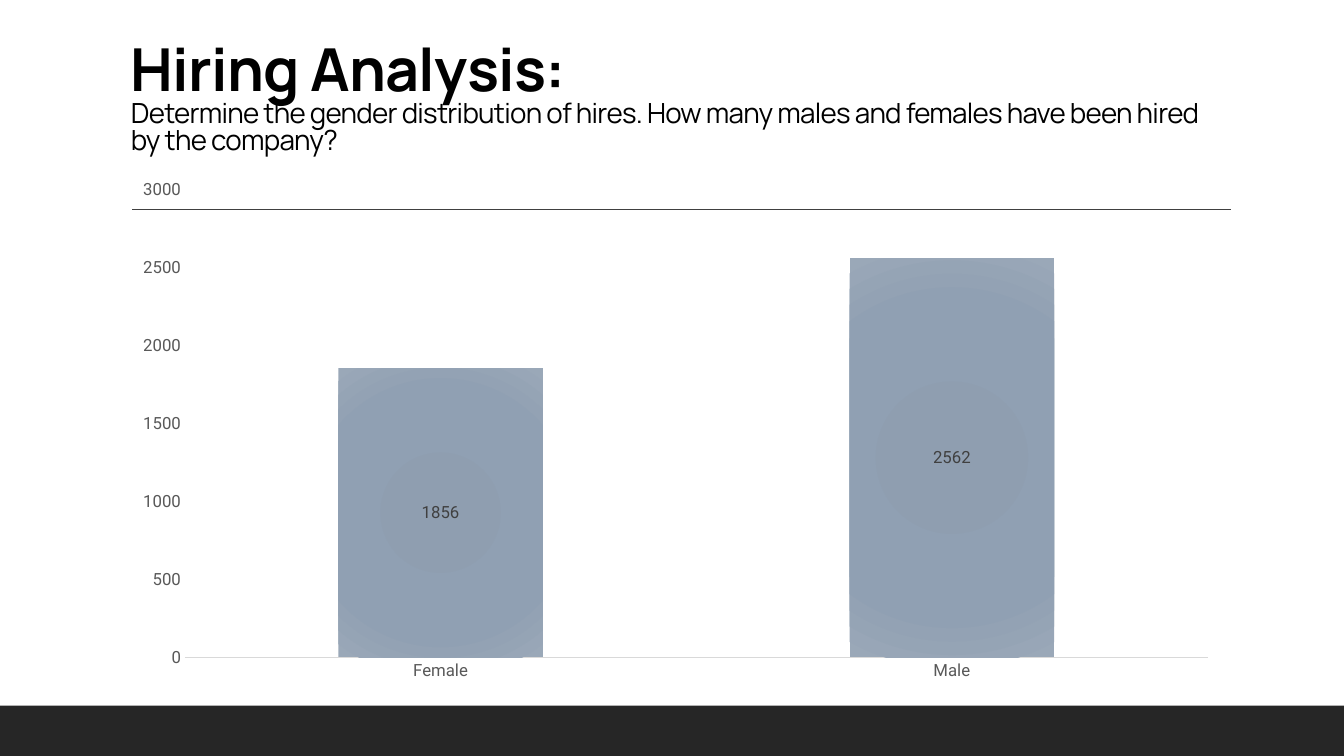
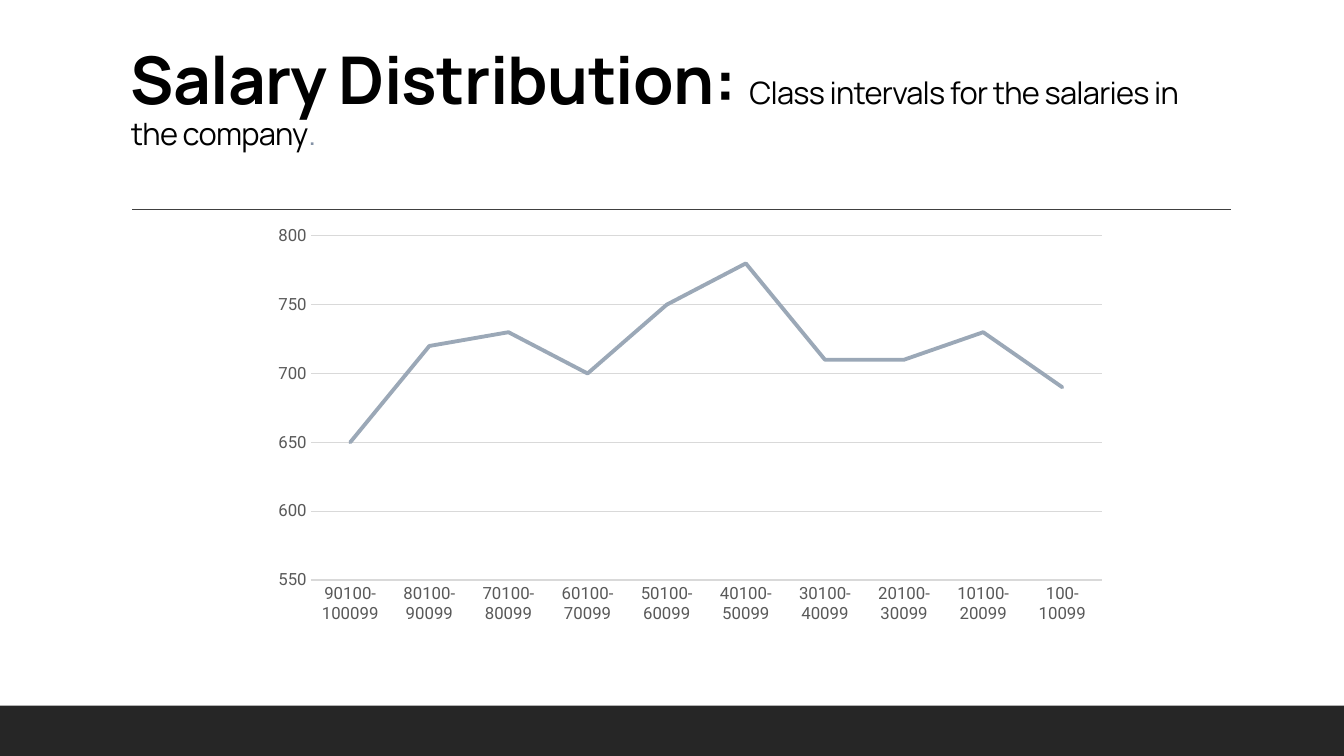
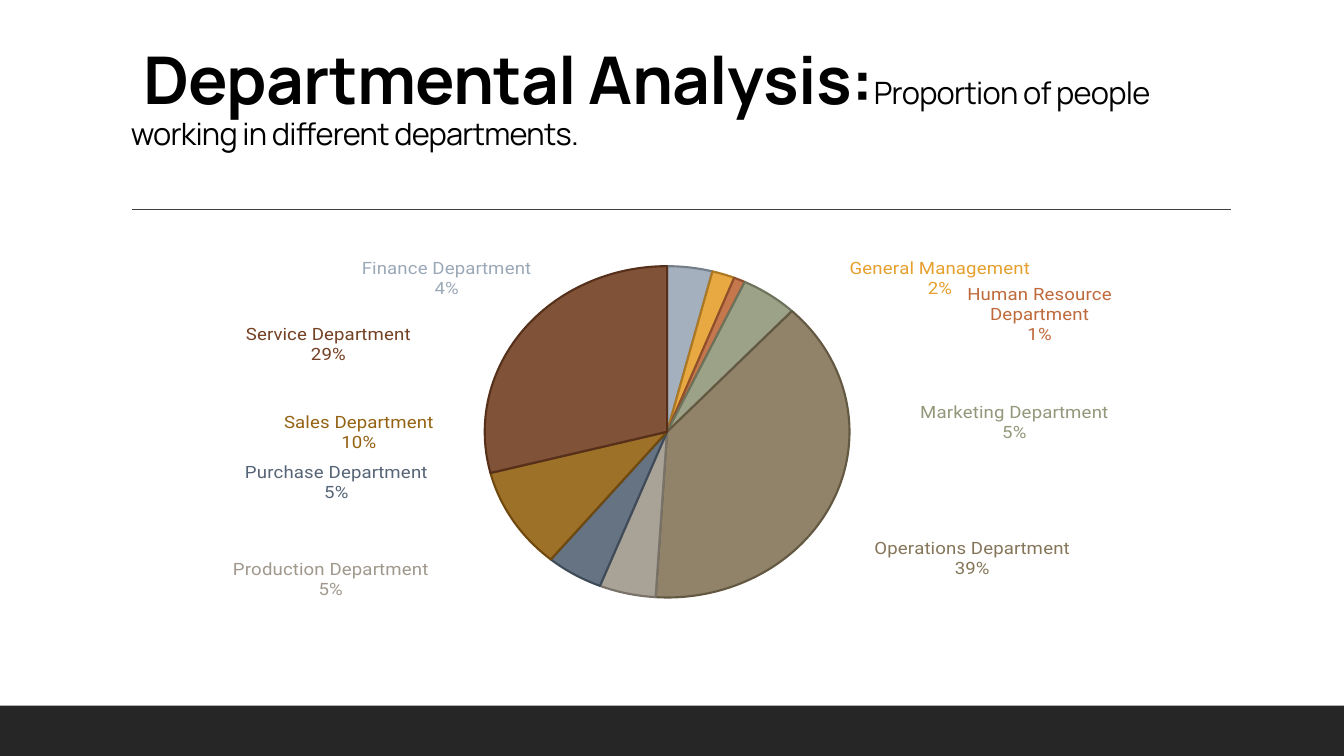
import math

import pptx
import pptx.chart.data
import pptx.dml.color
import pptx.enum.chart
import pptx.enum.shapes
import pptx.enum.text
import pptx.oxml
import pptx.oxml.ns
import pptx.util

Cm, Pt = pptx.util.Cm, pptx.util.Pt
RGB = pptx.dml.color.RGBColor.from_string
qn = pptx.oxml.ns.qn
ChartType = pptx.enum.chart.XL_CHART_TYPE
NAMESPACES = pptx.oxml.ns.nsdecls("a", "c")

THEME = {
    "title_font": "Manrope",
    "chart_font": "Roboto",
    "ink": "000000",
    "band": "262626",
    "rule": "404040",
    "axis_text": "595959",
    "axis_line": "D9D9D9",
    "bar_label": "404040",
    "full_stop": "8492A6",
    "trend": "9BA8B7",
    "bar_stops": [(0, "8D9CAE"), (34, "8F9EB0"), (70, "90A0B3"), (100, "9AA8B8")],
    "heading_size": 47,
    "question_size": 22,
    "small_heading_size": 42.3,
    "small_question_size": 19.8,
    "chart_size": 12,
    "slice_label_size": 13.3,
}

# Each title is a list of paragraphs made of (text, size, bold, colour) spans.
PAGES = [
    {
        "title": [
            [("Hiring Analysis:", THEME["small_heading_size"], True, THEME["ink"])],
            [("Determine the gender distribution of hires. How many males and females "
              "have been hired by the company?",
              THEME["small_question_size"], False, THEME["ink"])],
        ],
        "spacing": 0.8,
        "margin": 0.9,
        "kind": ChartType.COLUMN_STACKED,
        "box": (3.05, 4.27, 27.94, 13.16),
        "categories": ["Female", "Male"],
        "values": [1856, 2562],
        "scale": (0, 3000, 500),
    },
    {
        "title": [[
            ("Salary Distribution: ", THEME["heading_size"], True, THEME["ink"]),
            ("Class intervals for the salaries in the company",
             THEME["question_size"], False, THEME["ink"]),
            (".", THEME["question_size"], False, THEME["full_stop"]),
        ]],
        "spacing": 0.9,
        "margin": 1,
        "kind": ChartType.LINE,
        "box": (5.79, 5.18, 22.66, 12.75),
        "plot": (0.09, 0.06, 0.88, 0.68),
        "categories": ["90100-100099"] + [
            f"{start}-{start + 9999}" for start in range(80100, 0, -10000)],
        "values": [650, 720, 730, 700, 750, 780, 710, 710, 730, 690],
        "scale": (550, 800, 50),
    },
    {
        "title": [[
            (" Departmental Analysis:", THEME["heading_size"], True, THEME["ink"]),
            ("Proportion of people working in different departments.",
             THEME["question_size"], False, THEME["ink"]),
        ]],
        "spacing": 0.9,
        "margin": 1,
        "kind": ChartType.PIE,
        "box": (3.3, 5.41, 26.24, 10.69),
        "plot": (0.03, 0.08, 0.97, 0.86),
        "categories": [
            "Finance Department", "General Management", "Human Resource Department",
            "Marketing Department", "Operations Department", "Production Department",
            "Purchase Department", "Sales Department", "Service Department"],
        "values": [4, 2, 1, 5, 39, 5, 5, 10, 29],
        "colours": ["9BA8B7", "E6A02E", "BF6A3B", "92987A", "857659",
                    "A0988C", "556476", "946212", "734023"],
        # Corner of each label that lies nearest the pie, in cm on the page
        "corners": [(9.1, 7.31), (21.37, 7.31), (24.32, 8.57), (23.11, 11.29),
                    (21.9, 13.76), (10.84, 14.24), (10.86, 11.57), (11.06, 10.23),
                    (10.48, 9.07)],
    },
]


def set_format(target, values):
    for name, value in values.items():
        setattr(target, name, value)


def make_xml(body):
    """Turn one element, given as text, into XML with the chart namespaces."""
    tag, rest = body[1:].split(">", 1)
    return pptx.oxml.parse_xml(f"<{tag} {NAMESPACES}>{rest}")


deck = pptx.Presentation()
set_format(deck, {"slide_width": Cm(33.87), "slide_height": Cm(19.05)})

for content in PAGES:
    page = deck.slides.add_slide(deck.slide_layouts[6])

    band = page.shapes.add_shape(
        pptx.enum.shapes.MSO_SHAPE.RECTANGLE, 0, Cm(17.78), deck.slide_width, Cm(1.27))
    band.shadow.inherit = False
    band.fill.solid()
    band.fill.fore_color.rgb = RGB(THEME["band"])
    band.line.fill.background()

    rule = page.shapes.add_connector(
        pptx.enum.shapes.MSO_CONNECTOR.STRAIGHT, Cm(3.33), Cm(5.28), Cm(31.01), Cm(5.28))
    rule.line.color.rgb = RGB(THEME["rule"])
    rule.line.width = Pt(1)
    rule._element.spPr.append(make_xml("<a:effectLst></a:effectLst>"))

    title = page.shapes.add_textbox(Cm(3.05), Cm(0.79), Cm(27.94), Cm(4.04))
    set_format(title.text_frame, {
        "word_wrap": True,
        "vertical_anchor": pptx.enum.text.MSO_ANCHOR.BOTTOM,
        "margin_bottom": Cm(content["margin"])})
    for index, spans in enumerate(content["title"]):
        para = title.text_frame.add_paragraph() if index else title.text_frame.paragraphs[0]
        para.line_spacing = content["spacing"]
        for text, size, bold, colour in spans:
            span = para.add_run()
            span.text = text
            set_format(span.font, {
                "name": THEME["title_font"], "size": Pt(size), "bold": bold})
            span.font.color.rgb = RGB(colour)
            span._r.get_or_add_rPr().set("spc", "-50")

    data = pptx.chart.data.CategoryChartData()
    data.categories = content["categories"]
    data.add_series("Series 1", content["values"])
    chart = page.shapes.add_chart(
        content["kind"], *[Cm(length) for length in content["box"]], data).chart
    set_format(chart, {"has_legend": False, "has_title": False})
    set_format(chart.font, {"name": THEME["chart_font"], "size": Pt(THEME["chart_size"])})
    chart.font.color.rgb = RGB(THEME["axis_text"])
    plot = chart.plots[0]
    series = plot.series[0]

    if "plot" in content:
        sides = "".join(
            f'<c:{side} val="{value}"/>' for side, value in zip("xywh", content["plot"]))
        area = chart._chartSpace.find(".//" + qn("c:plotArea"))
        for layout in area.findall(qn("c:layout")):
            area.remove(layout)
        area.insert(0, make_xml(
            '<c:layout><c:manualLayout><c:layoutTarget val="inner"/>'
            f'<c:xMode val="edge"/><c:yMode val="edge"/>{sides}'
            "</c:manualLayout></c:layout>"))

    if "scale" in content:
        low, high, step = content["scale"]
        no_tick = pptx.enum.chart.XL_TICK_MARK.NONE
        ticks = {"major_tick_mark": no_tick, "minor_tick_mark": no_tick}
        set_format(chart.category_axis, ticks)
        set_format(chart.value_axis, {
            **ticks, "minimum_scale": low, "maximum_scale": high, "major_unit": step,
            "has_major_gridlines": content["kind"] == ChartType.LINE})
        chart.category_axis.format.line.color.rgb = RGB(THEME["axis_line"])
        chart.category_axis.format.line.width = Pt(1)
        chart.value_axis.format.line.fill.background()

    if content["kind"] == ChartType.COLUMN_STACKED:
        set_format(plot, {
            "gap_width": 150, "overlap": 100, "vary_by_categories": False,
            "has_data_labels": True})
        stops = "".join(
            f'<a:gs pos="{place * 1000}"><a:srgbClr val="{colour}"/></a:gs>'
            for place, colour in THEME["bar_stops"])
        series._element.get_or_add_spPr().insert(0, make_xml(
            f'<a:gradFill><a:gsLst>{stops}</a:gsLst><a:path path="circle">'
            '<a:fillToRect l="100000" t="100000" r="100000" b="100000"/>'
            "</a:path></a:gradFill>"))
        set_format(plot.data_labels, {
            "show_value": True,
            "position": pptx.enum.chart.XL_LABEL_POSITION.CENTER})
        set_format(plot.data_labels.font, {
            "name": THEME["chart_font"], "size": Pt(THEME["chart_size"])})
        plot.data_labels.font.color.rgb = RGB(THEME["bar_label"])

    elif content["kind"] == ChartType.LINE:
        plot.vary_by_categories = False
        series.smooth = False
        series.format.line.color.rgb = RGB(THEME["trend"])
        series.format.line.width = Pt(2.75)
        series.format.line._get_or_add_ln().set("cap", "rnd")
        gridline = chart.value_axis.major_gridlines.format.line
        gridline.color.rgb = RGB(THEME["axis_line"])
        gridline.width = Pt(0.75)

    else:
        plot.vary_by_categories = True
        left, top, width, height = content["box"]
        plot_x, plot_y, plot_width, plot_height = content["plot"]
        centre_x = left + (plot_x + plot_width / 2) * width
        centre_y = top + (plot_y + plot_height / 2) * height
        radius = plot_height * height / 2
        total = sum(content["values"])
        start = 0
        for index, value in enumerate(content["values"]):
            colour = content["colours"][index]
            point = series.points[index]
            point.format.fill.solid()
            point.format.fill.fore_color.rgb = RGB(colour)
            point.format.fill._xPr.find(".//" + qn("a:srgbClr")).append(
                make_xml('<a:alpha val="90000"></a:alpha>'.replace(' val="90000"', ""))
            )
            point.format.fill._xPr.find(".//" + qn("a:alpha")).set("val", "90000")
            point.format.line.color.rgb = pptx.dml.color.RGBColor(
                *[int(part * 0.75) for part in RGB(colour)])
            point.format.line.width = Pt(1.5)

            font = point.data_label.font
            set_format(font, {
                "name": THEME["chart_font"], "size": Pt(THEME["slice_label_size"])})
            font.color.rgb = RGB(colour)

            # Labels move from the rim, at the middle of their slice
            angle = 2 * math.pi * (start + value / 2) / total
            start += value
            corner_x, corner_y = content["corners"][index]
            shift_x = (corner_x - centre_x - radius * math.sin(angle)) / width
            shift_y = (corner_y - centre_y + radius * math.cos(angle)) / height
            label = series._element.findall(".//" + qn("c:dLbl"))[index]
            mark = label.find(qn("c:idx"))
            mark.addnext(make_xml(
                '<c:spPr><a:solidFill><a:srgbClr val="FFFFFF"/></a:solidFill>'
                f'<a:ln w="12700"><a:solidFill><a:srgbClr val="{colour}"/></a:solidFill>'
                "</a:ln></c:spPr>"))
            mark.addnext(make_xml(
                f'<c:layout><c:manualLayout><c:x val="{shift_x:.4f}"/>'
                f'<c:y val="{shift_y:.4f}"/></c:manualLayout></c:layout>'))
            for tag, shown in {"showVal": "0", "showCatName": "1", "showPercent": "1"}.items():
                label.find(qn(f"c:{tag}")).set("val", shown)
            label.append(make_xml("<c:separator>\n</c:separator>"))
        set_format(series.data_labels, {
            "show_value": False, "show_category_name": True, "show_percentage": True})
        for leader in series._element.iter(qn("c:showLeaderLines")):
            leader.set("val", "0")

deck.save("out.pptx")
